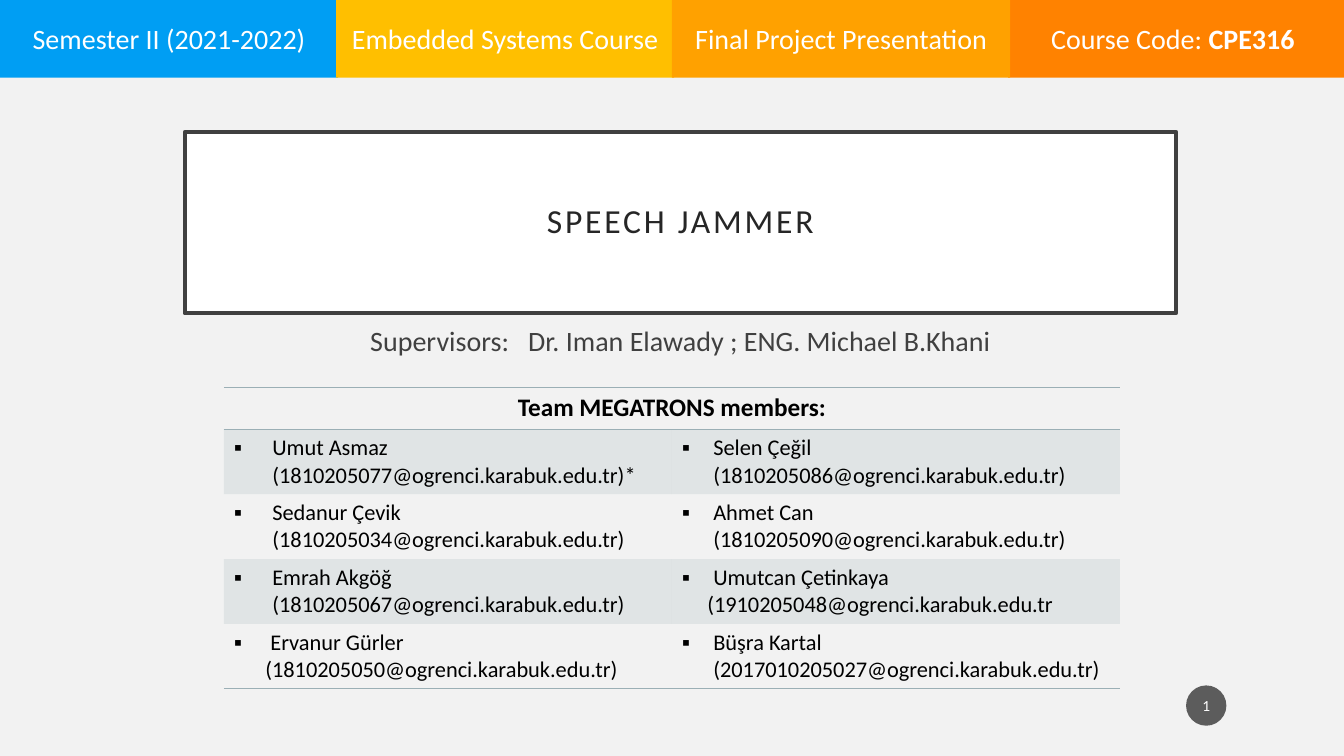
from dataclasses import dataclass

from lxml.etree import SubElement
from pptx import Presentation
from pptx.dml.color import RGBColor
from pptx.enum.shapes import MSO_SHAPE as Shape
from pptx.enum.text import MSO_ANCHOR as Anchor, MSO_AUTO_SIZE as AutoSize, PP_ALIGN as Align
from pptx.oxml.ns import qn
from pptx.util import Inches, Pt

WHITE = RGBColor(0xFF, 0xFF, 0xFF)
BLACK = RGBColor(0x00, 0x00, 0x00)
PAPER = RGBColor(0xF2, 0xF2, 0xF2)
INK = RGBColor(0x26, 0x26, 0x26)
GREY = RGBColor(0x40, 0x40, 0x40)
BADGE = RGBColor(0x1D, 0x1D, 0x1D)
SLATE = RGBColor(0x9B, 0xAF, 0xB5)
BLUE = RGBColor(0x00, 0x9E, 0xF3)
YELLOW = RGBColor(0xFF, 0xBF, 0x00)
AMBER = RGBColor(0xFF, 0xA1, 0x00)
ORANGE = RGBColor(0xFF, 0x82, 0x00)

FONT = "Calibri"
WIDTH, HEIGHT = Inches(13.33), Inches(7.5)
COLUMNS, ROWS = 12, 18
NO_STYLE = "{2D5ABB26-0587-4C30-8999-92F81FD0307C}"


@dataclass(frozen=True)
class Tile:
    slot: int
    columns: float
    color: RGBColor
    text: str
    bold_text: str = ""


@dataclass(frozen=True)
class Member:
    text: str
    indent: float = 0.31
    second_line: str = ""


TILES = [
    Tile(0, 3.02, BLUE, "Semester II (2021-2022)"),
    Tile(3, 3, ORANGE, "Course Code: ", "CPE316 "),
    Tile(1, 3.02, YELLOW, "Embedded Systems Course"),
    Tile(2, 3.02, AMBER, "Final Project Presentation"),
]

MEMBERS = [
    (Member("Umut Asmaz (1810205077@ogrenci.karabuk.edu.tr)*", 0.38),
     Member("Selen Çeğil (1810205086@ogrenci.karabuk.edu.tr)")),
    (Member("Sedanur Çevik (1810205034@ogrenci.karabuk.edu.tr)", 0.38),
     Member("Ahmet Can (1810205090@ogrenci.karabuk.edu.tr)")),
    (Member("Emrah Akgöğ (1810205067@ogrenci.karabuk.edu.tr)", 0.38),
     Member("Umutcan Çetinkaya", second_line="(1910205048@ogrenci.karabuk.edu.tr")),
    (Member(" Ervanur Gürler (1810205050@ogrenci.karabuk.edu.tr)"),
     Member("Büşra Kartal (2017010205027@ogrenci.karabuk.edu.tr)")),
]


def col(n: float) -> int:
    return round(WIDTH * n / COLUMNS)


def row(n: float) -> int:
    return round(HEIGHT * n / ROWS)


def place(sp, left: float, top: float, width: float, height: float) -> None:
    sp.left, sp.top, sp.width, sp.height = col(left), row(top), col(width), row(height)


def style(r, size: float, color: RGBColor, bold: bool = False, spacing: float = 0) -> None:
    r.font.name, r.font.size, r.font.bold = FONT, Pt(size), bold
    r.font.color.rgb = color
    if spacing:
        r.font._element.set("spc", str(round(spacing * 100)))


def add_run(p, text: str, size: float, color: RGBColor, bold: bool = False,
            spacing: float = 0) -> None:
    r = p.add_run()
    r.text = text
    style(r, size, color, bold, spacing)


def set_margins(tf, x: float, y: float) -> None:
    tf.margin_left = tf.margin_right = Inches(x)
    tf.margin_top = tf.margin_bottom = Inches(y)


def set_alpha(fill_parent, percent: int) -> None:
    color = fill_parent.find(qn("a:solidFill"))[0]
    SubElement(color, qn("a:alpha"), val=str(percent * 1000))


def add_block(shapes, kind, color: RGBColor, box: tuple):
    sp = shapes.add_shape(kind, 0, 0, 1, 1)
    place(sp, *box)
    sp.shadow.inherit = False
    sp.fill.solid()
    sp.fill.fore_color.rgb = color
    sp.line.fill.background()
    sp.text_frame.word_wrap = True
    sp.text_frame.vertical_anchor = Anchor.MIDDLE
    sp.text_frame.paragraphs[0].alignment = Align.CENTER
    return sp


def add_tile(shapes, tile: Tile) -> None:
    sp = add_block(shapes, Shape.RECTANGLE, tile.color,
                   (tile.slot * COLUMNS / 4, -0.02, tile.columns, 1.87))
    set_margins(sp.text_frame, 0, 0)
    p = sp.text_frame.paragraphs[0]
    add_run(p, tile.text, 20, WHITE)
    if tile.bold_text:
        add_run(p, tile.bold_text, 20, WHITE, bold=True)


def add_border(cell, side: str) -> None:
    ln = SubElement(cell._tc.get_or_add_tcPr(), qn(f"a:ln{side}"), w=str(Pt(1)))
    fill = SubElement(ln, qn("a:solidFill"))
    SubElement(fill, qn("a:srgbClr"), val=str(SLATE))


def fill_member(cell, member: Member) -> None:
    tf = cell.text_frame
    tf.text = member.text
    p = tf.paragraphs[0]
    style(p.runs[0], 16, BLACK)
    pPr = p._p.get_or_add_pPr()
    pPr.set("marL", str(Inches(member.indent)))
    pPr.set("indent", str(-Inches(member.indent)))
    SubElement(pPr, qn("a:buFont"), typeface=FONT)
    SubElement(pPr, qn("a:buChar"), char="▪")
    if member.second_line:
        p = tf.add_paragraph()
        p.text = member.second_line
        p._p.get_or_add_pPr().set("marL", str(Inches(0.25)))
        style(p.runs[0], 16, BLACK)


def add_team(shapes) -> None:
    frame = shapes.add_table(len(MEMBERS) + 1, 2, col(2), row(9.22), col(8), row(7.16))
    table = frame.table
    table.first_row = table.horz_banding = False
    table._tbl.tblPr.find(qn("a:tableStyleId")).text = NO_STYLE
    for i, line in enumerate(table.rows):
        line.height = row(1.54 if i else 1)
        for j, cell in enumerate(line.cells):
            if i == 0:
                add_border(cell, "T")
            if i in (0, len(MEMBERS)):
                add_border(cell, "B")
            if i % 2:
                cell.fill.solid()
                cell.fill.fore_color.rgb = SLATE
                set_alpha(cell._tc.tcPr, 20)
            else:
                cell.fill.background()
            if i:
                fill_member(cell, MEMBERS[i - 1][j])
    head = table.cell(0, 0)
    head.merge(table.cell(0, 1))
    p = head.text_frame.paragraphs[0]
    p.alignment = Align.CENTER
    add_run(p, "Team MEGATRONS members:", 18, BLACK, bold=True)


def add_heading(sp) -> None:
    place(sp, 1.65, 3.14, 8.85, 4.32)
    sp.fill.solid()
    sp.fill.fore_color.rgb = WHITE
    sp.line.color.rgb, sp.line.width = GREY, Pt(3)
    tf = sp.text_frame
    tf.text = "SPEECH JAMMER"
    tf.auto_size, tf.vertical_anchor = AutoSize.NONE, Anchor.MIDDLE
    set_margins(tf, 0.3, 0.2)
    p = tf.paragraphs[0]
    p.alignment, p.line_spacing = Align.CENTER, 0.9
    style(p.runs[0], 24, INK, spacing=2)


def add_supervisors(sp) -> None:
    place(sp, 1.65, 7.58, 8.85, 1.15)
    tf = sp.text_frame
    tf.auto_size, tf.vertical_anchor = AutoSize.NONE, Anchor.TOP
    p = tf.paragraphs[0]
    p.alignment, p.space_before = Align.CENTER, Pt(10)
    add_run(p, "Supervisors:", 20, GREY)
    add_run(p, " ", 20, GREY, spacing=9)
    add_run(p, "Dr. Iman Elawady ; ENG. Michael B.Khani", 20, GREY)


def add_page_number(shapes) -> None:
    sp = add_block(shapes, Shape.OVAL, BADGE, (10.59, 16.32, 0.36, 0.96))
    set_alpha(sp._element.spPr, 70)
    set_margins(sp.text_frame, 0.02, 0.05)
    add_run(sp.text_frame.paragraphs[0], "1", 11, WHITE)


def main() -> None:
    prs = Presentation()
    prs.slide_width, prs.slide_height = WIDTH, HEIGHT
    s = prs.slides.add_slide(prs.slide_layouts[0])
    s.background.fill.solid()
    s.background.fill.fore_color.rgb = PAPER
    add_heading(s.shapes.title)
    add_supervisors(s.placeholders[1])
    banner = s.shapes.add_group_shape()
    for tile in TILES:
        add_tile(banner.shapes, tile)
    add_team(s.shapes)
    add_page_number(s.shapes)
    prs.save("out.pptx")


if __name__ == "__main__":
    main()
